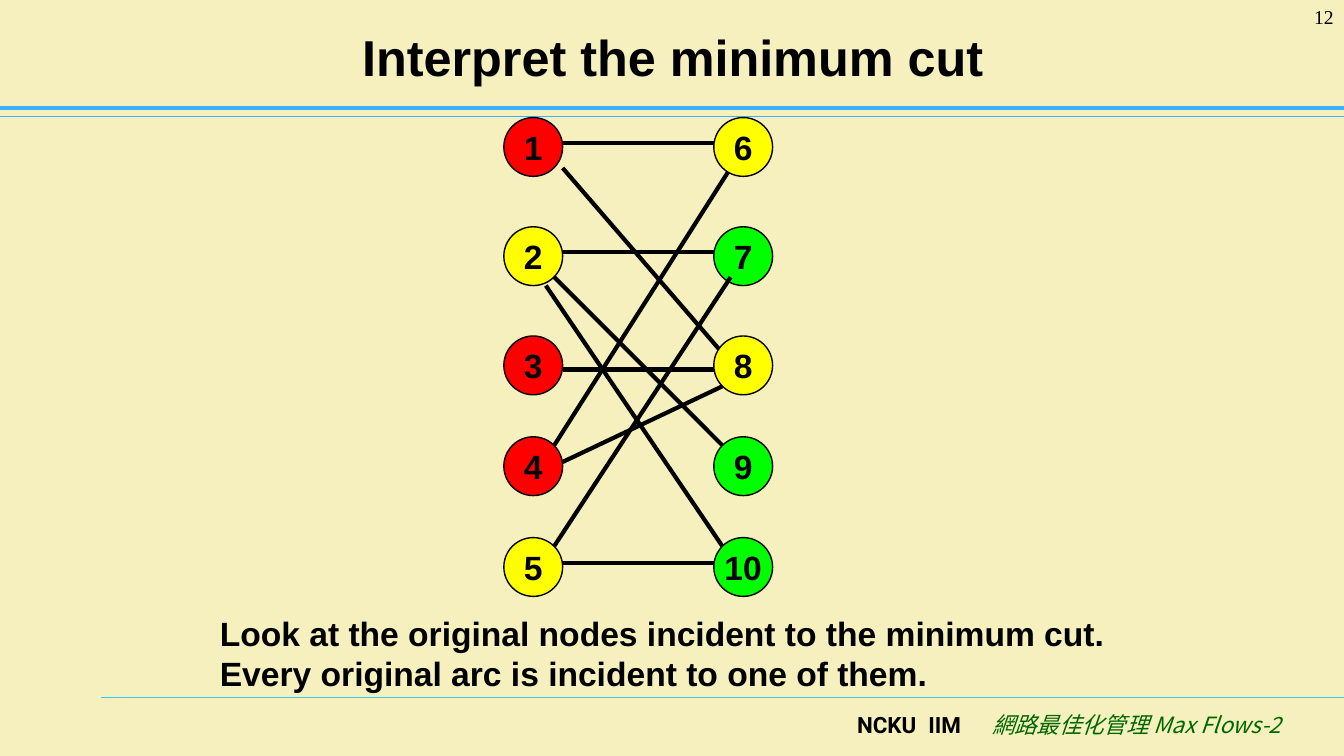
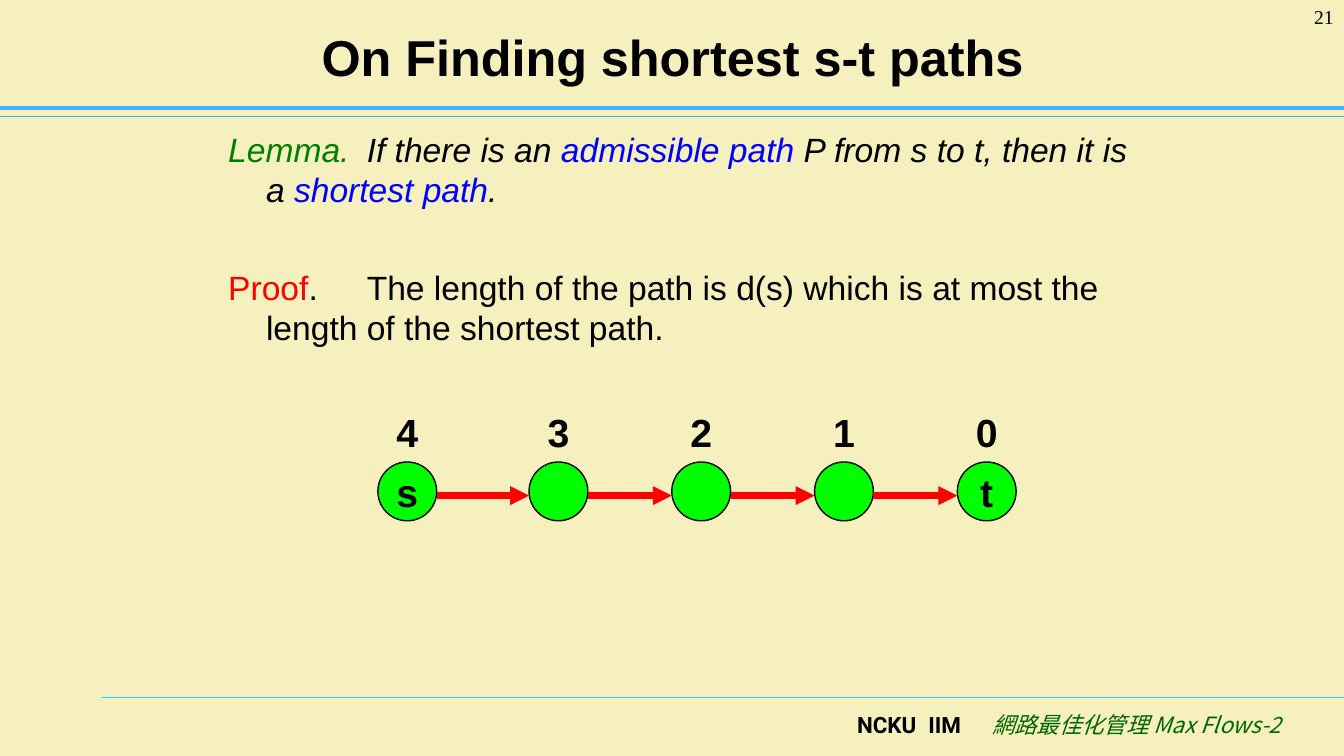
"""Build two slides on minimum cuts and shortest paths in a network."""
from lxml import etree
from pptx import Presentation
from pptx.dml.color import RGBColor
from pptx.enum.shapes import MSO_CONNECTOR, MSO_SHAPE
from pptx.enum.text import MSO_ANCHOR, PP_ALIGN
from pptx.oxml.ns import qn
from pptx.util import Emu, Pt

LEFT, CENTER, RIGHT = PP_ALIGN.LEFT, PP_ALIGN.CENTER, PP_ALIGN.RIGHT
TOP, MIDDLE = MSO_ANCHOR.TOP, MSO_ANCHOR.MIDDLE
STRAIGHT, OVAL = MSO_CONNECTOR.STRAIGHT, MSO_SHAPE.OVAL

EMU_PER_PX = 9525
SLIDE_SIZE = Emu(12195175), Emu(6858000)
WIDTH = 1280
NODE = 56
COLORS = {
    "paper": "F5F0BD",
    "black": "000000",
    "rule": "3DB0FF",
    "footer_rule": "33CCFF",
    "course": "006600",
    "lemma": "008000",
    "blue": "0000FF",
    "red": "FF0000",
    "yellow": "FFFF00",
    "green": "00FF00",
}


def px(length):
    return Emu(length * EMU_PER_PX)


def rgb(name):
    return RGBColor.from_string(COLORS[name])


def add_span(para, text, size=24, color="black", face="Arial", bold=False, italic=False):
    span = para.add_run()
    span.text = text
    font = span.font
    font.size, font.bold, font.italic = Pt(size), bold, italic
    font.color.rgb = rgb(color)
    font.name = face
    east_asian = etree.SubElement(span._r.get_or_add_rPr(), qn("a:ea"))
    east_asian.set("typeface", face)


class SlideWriter:
    def __init__(self, deck):
        self.deck = deck
        self.page = None

    def start_page(self, title, number):
        self.page = self.deck.slides.add_slide(self.deck.slide_layouts[6])
        fill = self.page.background.fill
        fill.solid()
        fill.fore_color.rgb = rgb("paper")
        self.line(96, 664, WIDTH, 664, "footer_rule", 0.75)
        self.line(0, 111, WIDTH, 111, "rule", 0.75)
        self.line(0, 103, WIDTH, 103, "rule", 2.5)
        self.text(807, 673, 130, 48, "NCKU\tIIM", tab=68, size=16, face="Roboto", bold=True)
        self.text(930, 673, 300, 48, "網路最佳化管理 Max Flows-2", align=RIGHT, size=16,
                  color="course", face="Noto Sans CJK SC", italic=True)
        self.text(65, 12, 1152, 84, title, align=CENTER, anchor=MIDDLE, size=36, bold=True)
        self.text(1173, 0, 107, 48, number, align=RIGHT, size=14, face="Times New Roman")

    def line(self, x1, y1, x2, y2, color, weight, arrow=False):
        link = self.page.shapes.add_connector(STRAIGHT, px(x1), px(y1), px(x2), px(y2))
        link.line.color.rgb = rgb(color)
        link.line.width = Pt(weight)
        if arrow:
            etree.SubElement(link.line._get_or_add_ln(), qn("a:tailEnd")).set("type", "triangle")
        etree.SubElement(link._element.spPr, qn("a:effectLst"))

    def frame(self, x, y, width, height, anchor=TOP):
        box = self.page.shapes.add_textbox(px(x), px(y), px(width), px(height))
        box.text_frame.word_wrap = True
        box.text_frame.vertical_anchor = anchor
        return box.text_frame

    def text(self, x, y, width, height, text, align=LEFT, anchor=TOP, tab=None, **style):
        para = self.frame(x, y, width, height, anchor).paragraphs[0]
        para.alignment = align
        if tab:
            self.tab_stop(para, tab)
        add_span(para, text, **style)

    def tab_stop(self, para, position):
        tabs = etree.SubElement(para._p.get_or_add_pPr(), qn("a:tabLst"))
        etree.SubElement(tabs, qn("a:tab"), pos=str(px(position)), algn="l")

    def statements(self, x, y, width, height, statements, hanging, gap):
        frame = self.frame(x, y, width, height)
        for index, (tab, spans) in enumerate(statements):
            para = frame.add_paragraph() if index else frame.paragraphs[0]
            if index:
                para.space_before = Pt(gap)
            properties = para._p.get_or_add_pPr()
            properties.set("marL", str(px(hanging)))
            properties.set("indent", str(px(-hanging)))
            self.tab_stop(para, tab + hanging)
            for text, style in spans:
                add_span(para, text, **style)

    def node(self, x, y, color, label="", size=24):
        circle = self.page.shapes.add_shape(OVAL, px(x), px(y), px(NODE), px(NODE))
        circle.shadow.inherit = False
        circle.fill.solid()
        circle.fill.fore_color.rgb = rgb(color)
        circle.line.color.rgb = rgb("black")
        circle.line.width = Pt(1)
        if label:
            frame = circle.text_frame
            frame.word_wrap = False
            frame.vertical_anchor = MIDDLE
            frame.paragraphs[0].alignment = CENTER
            add_span(frame.paragraphs[0], label, size=size, bold=True)


def minimum_cut(writer):
    writer.start_page("Interpret the minimum cut", "12")
    rows = (112, 216, 320, 416, 512)
    colors = ("red", "yellow", "red", "red", "yellow",
              "yellow", "green", "yellow", "green", "green")
    arcs = (
        (536, 136, 680, 136), (536, 160, 688, 336),
        (536, 240, 680, 240), (528, 264, 688, 424), (520, 272, 688, 520),
        (536, 352, 688, 352),
        (528, 424, 696, 160), (536, 440, 688, 368),
        (528, 520, 696, 264), (536, 536, 680, 536),
    )

    def draw_nodes(wanted):
        for index, color in enumerate(colors):
            if color in wanted:
                column, row = divmod(index, len(rows))
                writer.node(480 + 200 * column, rows[row], color, str(index + 1))

    draw_nodes(("green",))
    for arc in arcs:
        writer.line(*arc, "black", 3)
    draw_nodes(("red", "yellow"))
    writer.text(200, 579, 920, 86, "Look at the original nodes incident to the minimum cut. "
                "Every original arc is incident to one of them.", bold=True)


def shortest_paths(writer):
    writer.start_page("On Finding shortest s-t paths", "21")
    plain = {"italic": True}
    key = {"italic": True, "color": "blue"}
    lemma = (
        ("Lemma.", {"italic": True, "color": "lemma"}),
        ("\tIf there is an ", plain),
        ("admissible path", key),
        (" P from s to t, then it is a ", plain),
        ("shortest path", key),
        (".", plain),
    )
    proof = (
        ("Proof", {"color": "red"}),
        (".\tThe length of the path is d(s) which is at most "
         "the length of the shortest path.", {}),
    )
    writer.statements(208, 118, 886, 261, ((142, lemma), (103, proof)), hanging=36, gap=41)

    columns = (360, 504, 640, 776, 912)
    for index, (x, label) in enumerate(zip(columns, ("s", "", "", "", "t"))):
        writer.node(x, 440, "green", label, size=28)
        distance = len(columns) - 1 - index
        writer.text(x, 384, NODE, 55, str(distance), align=CENTER, size=28, bold=True)
    for start, end in zip(columns, columns[1:]):
        writer.line(start + NODE, 472, end, 472, "red", 4.5, arrow=True)


def main():
    deck = Presentation()
    deck.slide_width, deck.slide_height = SLIDE_SIZE
    writer = SlideWriter(deck)
    minimum_cut(writer)
    shortest_paths(writer)
    deck.save("out.pptx")


if __name__ == "__main__":
    main()
